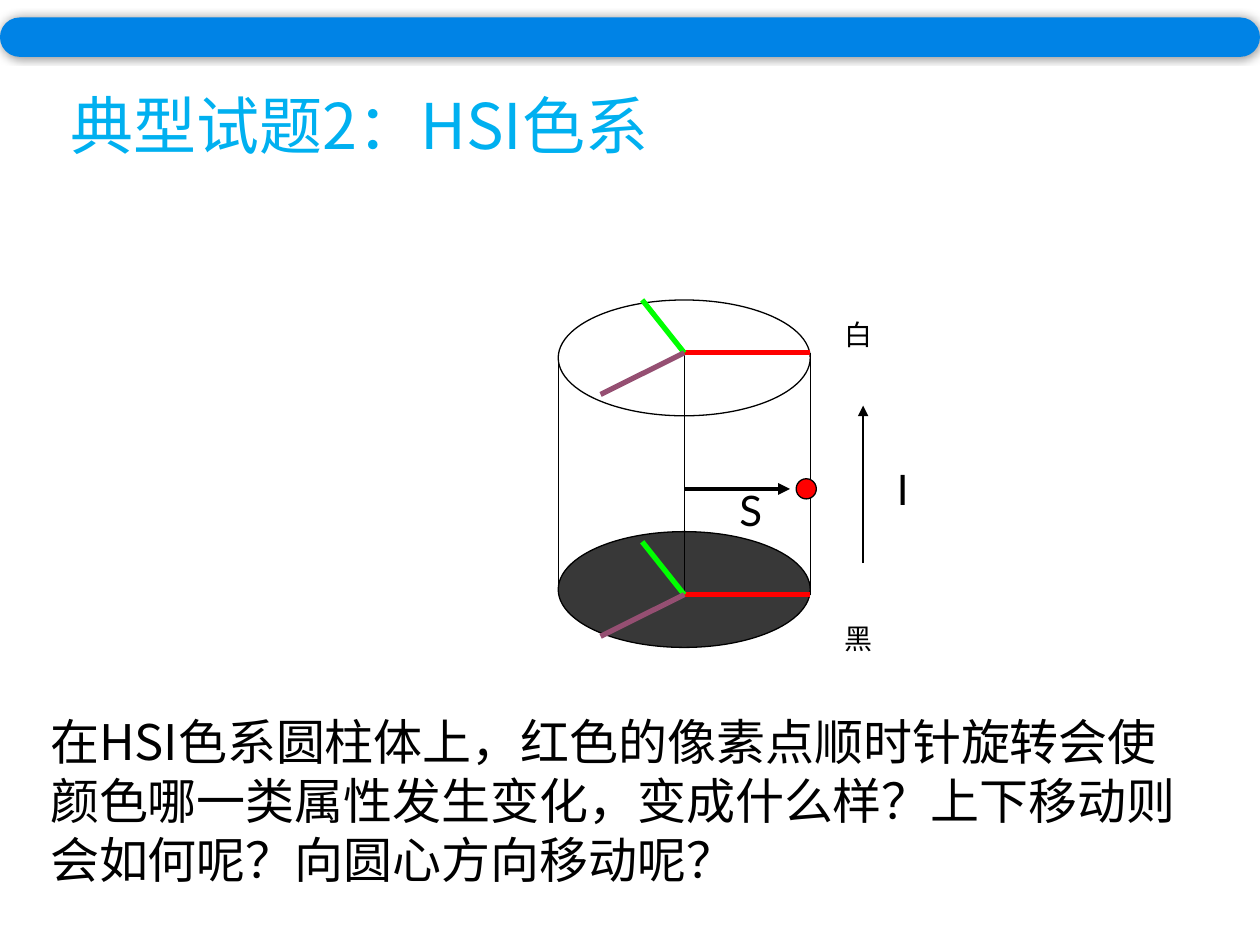
from typing import NamedTuple

from lxml.etree import SubElement
from pptx import Presentation
from pptx.dml.color import RGBColor
from pptx.enum.shapes import MSO_CONNECTOR, MSO_SHAPE
from pptx.enum.text import MSO_ANCHOR, MSO_AUTO_SIZE, PP_ALIGN
from pptx.oxml.ns import qn
from pptx.util import Pt

BLACK = RGBColor(0x00, 0x00, 0x00)
WHITE = RGBColor(0xFF, 0xFF, 0xFF)
BAR_BLUE = RGBColor(0x00, 0x83, 0xE6)
TITLE_BLUE = RGBColor(0x00, 0xB0, 0xF0)
DARK_GREY = RGBColor(0x38, 0x38, 0x38)
RED = RGBColor(0xFF, 0x00, 0x00)
GREEN = RGBColor(0x00, 0xFF, 0x00)
PURPLE = RGBColor(0x95, 0x4F, 0x72)

CJK_FONT = "Noto Sans CJK SC"
LATIN_FONT = "Lato"
SERIF_FONT = "Times New Roman"
LINE_SPACING = 1.2

# Cylinder geometry in points
AXIS_X, RADIUS = 391, 72
TOP_Y, BOTTOM_Y = 201.6, 339.8
DISC_HEIGHT = 66.2


class Box(NamedTuple):
    left: float
    top: float
    width: float
    height: float


class Label(NamedTuple):
    text: str
    box: Box
    size: float
    font: str


class Spoke(NamedTuple):
    dx: float
    dy: float
    color: RGBColor


LABELS = [
    Label("黑", Box(475.2, 351.4, 30.2, 26.6), 16, SERIF_FONT),
    Label("白", Box(475.2, 177.8, 30.2, 26.6), 16, SERIF_FONT),
    Label("I", Box(505.4, 261.4, 23.8, 36), 24, LATIN_FONT),
    Label("S", Box(415.4, 273.6, 36, 36), 24, LATIN_FONT),
    Label("在HSI色系圆柱体上，红色的像素点顺时针旋转会使颜色哪一类属性发生变化，"
          "变成什么样？上下移动则会如何呢？向圆心方向移动呢？",
          Box(21.6, 403.2, 669.6, 108.7), 28, CJK_FONT),
]
SPOKES = [Spoke(RADIUS, 0, RED), Spoke(-24, -30.2, GREEN), Spoke(-47.8, 23.8, PURPLE)]


def place(shape, box: Box) -> None:
    shape.left, shape.top, shape.width, shape.height = map(Pt, box)


def write(frame, text: str, size: float, font: str, color: RGBColor) -> None:
    frame.word_wrap = True
    frame.auto_size = MSO_AUTO_SIZE.NONE
    frame.vertical_anchor = MSO_ANCHOR.TOP
    paragraph = frame.paragraphs[0]
    paragraph.alignment = PP_ALIGN.LEFT
    paragraph.space_before = Pt(0)
    paragraph.line_spacing = Pt(size * LINE_SPACING)
    run = paragraph.add_run()
    run.text = text
    run.font.size = Pt(size)
    run.font.name = font
    run.font.color.rgb = color
    SubElement(run.font._element, qn("a:ea"), typeface=CJK_FONT)


def add_label(slide, label: Label) -> None:
    textbox = slide.shapes.add_textbox(*map(Pt, label.box))
    write(textbox.text_frame, label.text, label.size, label.font, BLACK)


def add_ellipse(slide, box: Box, fill: RGBColor) -> None:
    ellipse = slide.shapes.add_shape(MSO_SHAPE.OVAL, *map(Pt, box))
    ellipse.shadow.inherit = False
    ellipse.fill.solid()
    ellipse.fill.fore_color.rgb = fill
    ellipse.line.color.rgb = BLACK
    ellipse.line.width = Pt(0.75)


def add_line(slide, x1: float, y1: float, x2: float, y2: float,
             color: RGBColor = BLACK, width: float = 0.75, arrow: bool = False) -> None:
    line = slide.shapes.add_connector(MSO_CONNECTOR.STRAIGHT, *map(Pt, (x1, y1, x2, y2)))
    line.line.color.rgb = color
    line.line.width = Pt(width)
    if arrow:
        SubElement(line.line._get_or_add_ln(), qn("a:tailEnd"), type="triangle")
    SubElement(line._element.spPr, qn("a:effectLst"))


def add_header_bar(slide) -> None:
    bar = slide.shapes.add_shape(MSO_SHAPE.ROUNDED_RECTANGLE, *map(Pt, (0, 10, 720, 22.5)))
    bar.adjustments[0] = 0.5
    bar.fill.solid()
    bar.fill.fore_color.rgb = BAR_BLUE
    bar.line.fill.background()
    bar.shadow.inherit = False
    effects = bar._element.spPr.find(qn("a:effectLst"))
    shadow = SubElement(effects, qn("a:outerShdw"), blurRad=str(Pt(5)), dist="0", dir="0")
    shadow_color = SubElement(shadow, qn("a:srgbClr"), val=str(BLACK))
    SubElement(shadow_color, qn("a:alpha"), val="40000")


def add_cylinder(slide) -> None:
    # White top disc and dark bottom disc
    for top, fill in ((171.4, WHITE), (303.8, DARK_GREY)):
        add_ellipse(slide, Box(AXIS_X - RADIUS, top, 2 * RADIUS, DISC_HEIGHT), fill)
    # Two sides and the central axis
    for x in (AXIS_X - RADIUS, AXIS_X + RADIUS, AXIS_X):
        add_line(slide, x, TOP_Y, x, BOTTOM_Y)
    # Hue spokes on both discs
    for spoke in SPOKES:
        for y in (BOTTOM_Y, TOP_Y):
            add_line(slide, AXIS_X, y, AXIS_X + spoke.dx, y + spoke.dy, spoke.color, 3)


def main() -> None:
    presentation = Presentation()
    presentation.slide_width, presentation.slide_height = Pt(720), Pt(540)
    slide = presentation.slides.add_slide(presentation.slide_layouts[5])

    # Header
    add_header_bar(slide)
    title = slide.shapes.title
    place(title, Box(33.1, 46.1, 350, 94.3))
    write(title.text_frame, "典型试题2：HSI色系", 36, CJK_FONT, TITLE_BLUE)

    # Colour cylinder with intensity and saturation arrows
    add_cylinder(slide)
    add_line(slide, 493.2, 321.8, 493.2, 231.8, width=1.5, arrow=True)
    add_line(slide, AXIS_X, 279.4, 451.4, 279.4, width=2.25, arrow=True)

    # Labels and question
    for label in LABELS:
        add_label(slide, label)

    # Red pixel on the cylinder side
    add_ellipse(slide, Box(455, 273.6, 11.5, 11.5), RED)

    presentation.save("out.pptx")


if __name__ == "__main__":
    main()
